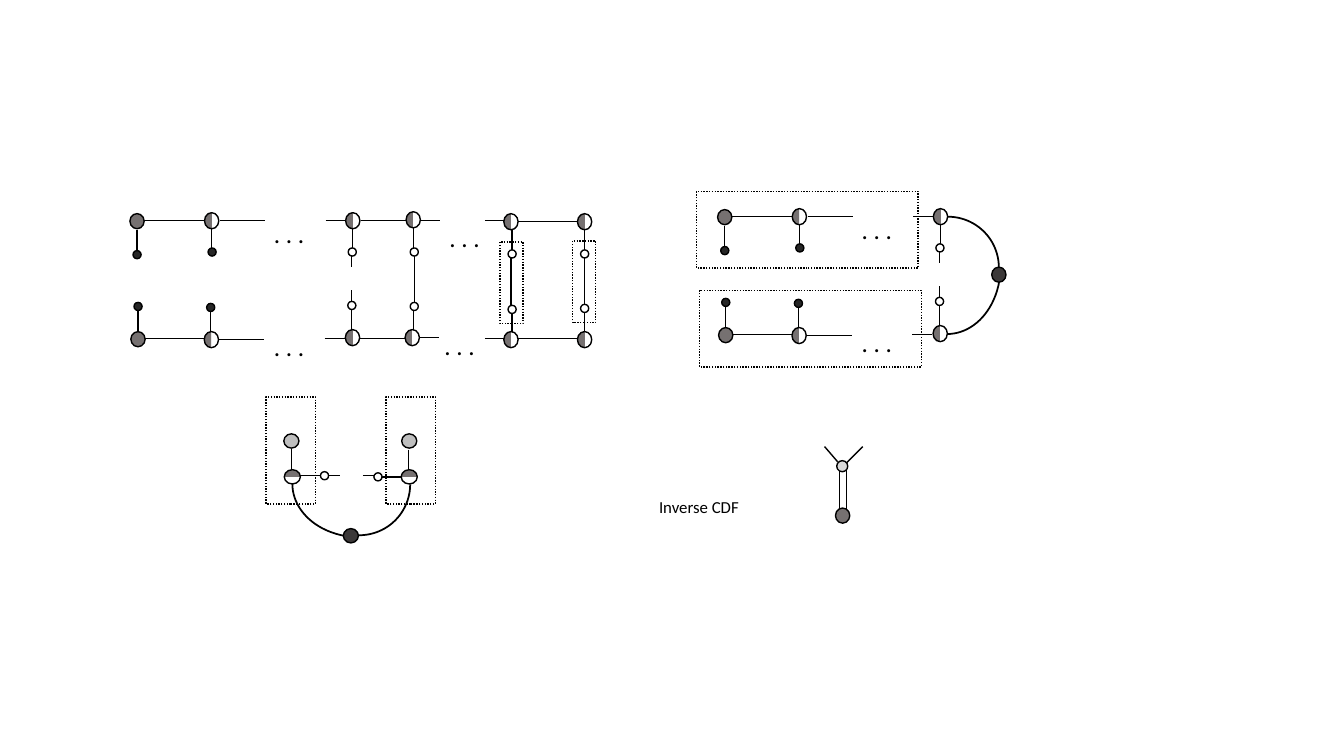
"""Draw the paired chain, ladder and loop graph diagrams on one slide."""
from lxml import etree
from pptx import Presentation
from pptx.dml.color import RGBColor
from pptx.enum.dml import MSO_LINE
from pptx.enum.shapes import MSO_CONNECTOR, MSO_SHAPE
from pptx.oxml.ns import qn
from pptx.util import Pt

OVAL, RECT, ARC = MSO_SHAPE.OVAL, MSO_SHAPE.RECTANGLE, MSO_SHAPE.ARC
STRAIGHT = MSO_CONNECTOR.STRAIGHT
DOTTED = MSO_LINE.ROUND_DOT
BLACK = RGBColor(0x00, 0x00, 0x00)
WHITE = RGBColor(0xFF, 0xFF, 0xFF)
GRAY = RGBColor(0x76, 0x71, 0x71)
NEAR_BLACK = RGBColor(0x26, 0x26, 0x26)
CHARCOAL = RGBColor(0x3B, 0x38, 0x38)
SILVER = RGBColor(0xBF, 0xBF, 0xBF)
PALE = RGBColor(0xD9, 0xD9, 0xD9)

NODES = {
    "end": (10.2, 10.8, GRAY),
    "half": (10.2, 11.5, None),
    "leaf": (5.8, 5.8, NEAR_BLACK),
    "open": (5.8, 5.8, WHITE),
    "hub": (10.2, 10.8, CHARCOAL),
    "input": (10.2, 10.8, SILVER),
    "joint": (7.9, 7.9, PALE),
}

CHAIN_WIRES = [
    (103, 157.7, 146.2, 157.7), (157, 157.7, 189.4, 157.7),
    (232.6, 157.7, 247, 157.7), (103, 241.9, 146.2, 241.9),
    (155.5, 242.6, 188.6, 242.6), (231.8, 241.9, 246.2, 241.9),
    (97.9, 164.2, 97.9, 178.6), (98.6, 222.5, 98.6, 236.9),
    (151.2, 163.4, 151.2, 177.8), (150.5, 222.5, 150.5, 237.6),
    (252, 162.7, 252, 177.1), (251.3, 182.9, 251.3, 190.8),
    (251.3, 207.4, 251.3, 215.3), (251.3, 220.3, 251.3, 235.4),
]
CHAIN_NODES = {
    "end": [(97.9, 158), (98.6, 242.3)],
    "half": [(151.2, 157.7), (151, 242.6), (252, 157.7), (251.8, 241.2)],
    "leaf": [(97.9, 181.9), (98.6, 218.9), (151.5, 180), (150.5, 219.6)],
    "open": [(251.6, 180), (251.3, 218.2)],
}
CHAIN_DOTS = [(188.6, 152.6), (188.6, 233.3)]

LADDER_WIRES = [
    (257.8, 157.7, 290.2, 157.7), (300.2, 157.7, 314.6, 157.7),
    (346.3, 157.7, 360, 157.7), (369.4, 158.4, 412.6, 158.4),
    (257, 241.9, 289.4, 241.9), (299.5, 241.2, 313.9, 241.2),
    (346.3, 241.9, 360, 241.9), (369.4, 241.9, 412.6, 241.9),
    (295.2, 162.7, 295.2, 177.1), (295.9, 182.9, 295.9, 216),
    (295.2, 221, 295.2, 235.4), (365.8, 164.2, 365.8, 178.6),
    (365, 184.3, 365, 218.2), (365.8, 222.5, 365.8, 236.9),
    (417.6, 163.4, 417.6, 177.8), (417.6, 184.3, 417.6, 217.4),
    (417.6, 221.8, 417.6, 236.2),
]
LADDER_NODES = {
    "half": [(295.2, 157), (294.5, 241.2), (365, 158.4), (365, 242.6),
             (417.6, 158.4), (417.6, 242.6)],
    "open": [(295.9, 180), (295.9, 218.9), (365.8, 181.4), (365.8, 221),
             (417.6, 181.4), (417.6, 220.3)],
}
LADDER_DOTS = [(313.9, 155.5), (310.3, 232.6)]

LOOP_WIRES = [
    (208.1, 320.4, 208.1, 334.8), (291.6, 321.1, 291.6, 335.5),
    (214.6, 339.8, 229, 339.8), (234.7, 339.8, 242.6, 339.8),
    (259.2, 339.8, 267.1, 339.8), (272.9, 340.6, 287.3, 340.6),
]
LOOP_NODES = {
    "input": [(208.1, 315), (292.3, 315)],
    "half": [(208.8, 340.6), (292.3, 340.6)],
    "open": [(231.8, 339.8), (270, 340.6)],
    "hub": [(250.6, 382.7)],
}

INVERSE_WIRES = [
    (589, 319, 598.3, 329.8), (616.3, 319, 604.8, 330.5),
    (604.8, 335.5, 604.8, 363.6), (599.8, 336.2, 599.8, 363.6),
]
INVERSE_NODES = {"end": [(601.9, 368.3)], "joint": [(601.6, 333)]}

BOXES = [
    (357.1, 172.8, 16.6, 58.3), (409, 172.1, 16.6, 58.3),
    (190.1, 283.7, 35.3, 76.3), (275.8, 283.7, 35.3, 76.3),
    (497.5, 136.8, 158.4, 54.7), (499.7, 207.4, 158.4, 54.7),
]


def add_outline(s, kind, x, y, w, h, width=1):
    """Add an unfilled black-lined preset shape."""
    sp = s.shapes.add_shape(kind, Pt(x), Pt(y), Pt(w), Pt(h))
    sp.shadow.inherit = False
    sp.fill.background()
    sp.line.color.rgb = BLACK
    sp.line.width = Pt(width)
    return sp


def add_node(s, kind, cx, cy, turn=0):
    """Add a graph node centred on a point."""
    w, h, color = NODES[kind]
    sp = add_outline(s, OVAL, cx - w / 2, cy - h / 2, w, h)
    sp.rotation = turn
    if color is not None:
        sp.fill.solid()
        sp.fill.fore_color.rgb = color
        return
    sp.fill.gradient()
    sp.fill.gradient_angle = 0
    for stop, (position, shade) in zip(sp.fill.gradient_stops, [(0.5, GRAY), (0.51, WHITE)]):
        stop.position = position
        stop.color.rgb = shade


def add_wire(s, x1, y1, x2, y2):
    """Add a plain black line."""
    wire = s.shapes.add_connector(STRAIGHT, Pt(x1), Pt(y1), Pt(x2), Pt(y2))
    wire.line.color.rgb = BLACK
    wire.line.width = Pt(1)
    etree.SubElement(wire._element.spPr, qn("a:effectLst"))


def add_label(s, text, x, y, w, h, size):
    """Add a one-line label."""
    tf = s.shapes.add_textbox(Pt(x), Pt(y), Pt(w), Pt(h)).text_frame
    tf.word_wrap = False
    r = tf.paragraphs[0].add_run()
    r.text = text
    for name, value in {"name": "Calibri", "size": Pt(size)}.items():
        setattr(r.font, name, value)
    r.font.color.rgb = BLACK


def add_graph(s, wires, nodes, dots=(), dx=0, dy=0, turn=0):
    """Add wires, nodes and ellipses, shifted by an offset."""
    for x1, y1, x2, y2 in wires:
        add_wire(s, x1 + dx, y1 + dy, x2 + dx, y2 + dy)
    for kind, centres in nodes.items():
        for cx, cy in centres:
            add_node(s, kind, cx + dx, cy + dy, turn)
    for x, y in dots:
        add_label(s, ". . .", x + dx, y + dy, 40.3, 28.8, 18)


def add_arc(s, x, y, w, h, start, end, turn):
    """Add a curved edge."""
    arc = add_outline(s, ARC, x, y, w, h, 1.25)
    arc.adjustments[0] = start
    arc.adjustments[1] = end
    arc.rotation = turn


def add_bend(s, x, y, long_x, long_y, turn):
    """Add the two arcs that meet at a hub."""
    add_arc(s, x, y, 72.7, 72.7, 162, 0.65, turn)
    add_arc(s, long_x, long_y, 95.8, 76.3, 170.49, 0, turn + 90)


def main():
    """Build and save the slide."""
    prs = Presentation()
    prs.slide_width, prs.slide_height = Pt(960), Pt(540)
    s = prs.slides.add_slide(prs.slide_layouts[6])
    add_graph(s, CHAIN_WIRES, CHAIN_NODES, CHAIN_DOTS)
    add_graph(s, LADDER_WIRES, LADDER_NODES, LADDER_DOTS)
    add_bend(s, 220.3, 309.6, 208.8, 307.4, 90)
    add_graph(s, LOOP_WIRES, LOOP_NODES, turn=90)
    add_graph(s, CHAIN_WIRES, CHAIN_NODES, CHAIN_DOTS, 419.8, -2.9)
    add_bend(s, 640.8, 154.8, 628.6, 152.6, 0)
    add_node(s, "hub", 713.5, 196.2)
    add_graph(s, INVERSE_WIRES, INVERSE_NODES)
    for box in BOXES:
        add_outline(s, RECT, *box).line.dash_style = DOTTED
    add_label(s, "Inverse CDF", 463.7, 351.4, 72, 21.6, 12)
    prs.save("out.pptx")


if __name__ == "__main__":
    main()
